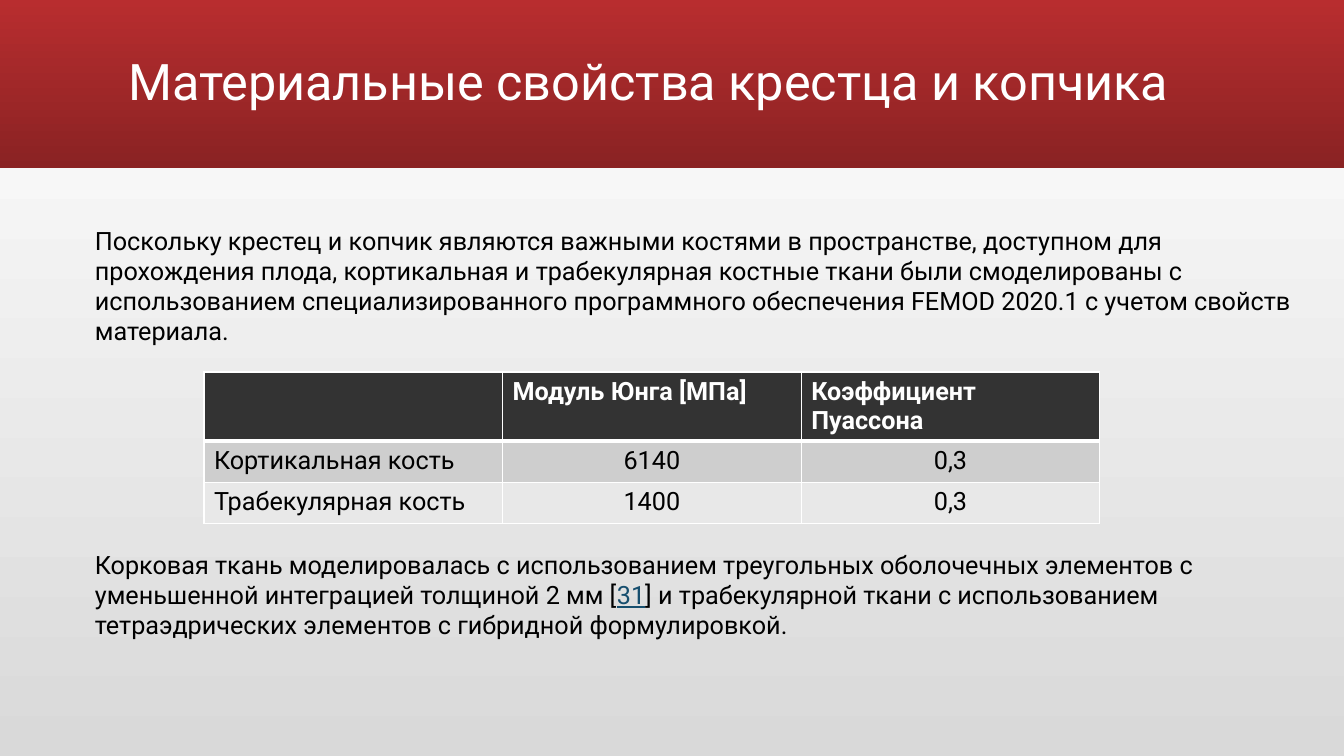
from lxml import etree
from pptx import Presentation
from pptx.dml.color import RGBColor
from pptx.enum.shapes import MSO_SHAPE as Shape
from pptx.enum.text import MSO_ANCHOR as Anchor, MSO_AUTO_SIZE as AutoSize, PP_ALIGN as Align
from pptx.oxml.ns import qn
from pptx.util import Pt

# Content
TITLE = "Материальные свойства крестца и копчика"
INTRO = [
    "Поскольку крестец и копчик являются важными костями в пространстве, доступном для "
    "прохождения плода, кортикальная и трабекулярная костные ткани были смоделированы с "
    "использованием специализированного программного обеспечения FEMOD 2020.1 с учетом "
    "свойств материала."
]
REFERENCE = "31"
METHOD = [
    "Корковая ткань моделировалась с использованием треугольных оболочечных элементов с "
    "уменьшенной интеграцией толщиной 2 мм [",
    REFERENCE,
    "] и трабекулярной ткани с использованием тетраэдрических элементов с гибридной "
    "формулировкой.",
]
MATERIALS = [
    ("", "Модуль Юнга [МПа]", "Коэффициент Пуассона"),
    ("Кортикальная кость", "6140", "0,3"),
    ("Трабекулярная кость", "1400", "0,3"),
]
ROW_FILLS = ("333333", "CECECE", "E8E8E8")
BAND_GRADIENT = ("B82D2F", "8A2223")
PAGE_GRADIENT = ("FFFFFF", "D9D9D9")
WHITE, BLACK, REFERENCE_COLOR = "FFFFFF", "000000", "164E6E"

# Layout in px
WIDTH, HEIGHT = 1344, 756
BAND_BOX = (0, 0, WIDTH, 168)
TITLE_BOX = (118, 11, 1109, 146)
INTRO_BOX = (85, 220, 1223, 102)
TABLE_BOX = (204, 372, 896, 123)
METHOD_BOX = (85, 544, 1207, 102)


def px(length):
    return round(length * 914400 / 100.8)


def box(lengths):
    return [px(length) for length in lengths]


def color(value):
    return RGBColor.from_string(value)


def shade(fill, colors):
    """Fill with a gradient running from top to bottom."""
    fill.gradient()
    fill.gradient_angle = 270
    for stop, value, position in zip(fill.gradient_stops, colors, (0, 1)):
        stop.color.rgb = color(value)
        stop.position = position


def write(frame, texts, size=18, ink=BLACK, bold=False, align=Align.LEFT, spacing=1.0):
    paragraph = frame.paragraphs[0]
    paragraph.alignment = align
    paragraph.line_spacing = spacing
    paragraph.font.size = Pt(size)
    for text in filter(None, texts):
        run = paragraph.add_run()
        run.text = text
        is_reference = text == REFERENCE
        font = run.font
        font.name, font.size, font.bold = "Roboto", Pt(size), bold
        font.underline = is_reference
        font.color.rgb = color(REFERENCE_COLOR if is_reference else ink)


def add_borders(cell, widths):
    properties = cell._tc.get_or_add_tcPr()
    for index, (tag, width) in enumerate(widths.items()):
        line = etree.Element(qn(f"a:{tag}"), w=str(Pt(width)))
        solid = etree.SubElement(line, qn("a:solidFill"))
        etree.SubElement(solid, qn("a:srgbClr"), val=WHITE)
        properties.insert(index, line)


def add_body(slide, lengths, texts):
    frame = slide.shapes.add_textbox(*box(lengths)).text_frame
    frame.word_wrap = True
    frame.auto_size = AutoSize.SHAPE_TO_FIT_TEXT
    write(frame, texts)


def add_materials(slide):
    rows, columns = len(MATERIALS), len(MATERIALS[0])
    table = slide.shapes.add_table(rows, columns, *box(TABLE_BOX)).table
    table.horz_banding = False
    for r, values in enumerate(MATERIALS):
        header = r == 0
        for c, value in enumerate(values):
            cell = table.cell(r, c)
            cell.fill.solid()
            cell.fill.fore_color.rgb = color(ROW_FILLS[r])
            add_borders(cell, {"lnL": 1, "lnR": 1, "lnT": 3 if r == 1 else 1,
                               "lnB": 3 if header else 1})
            centred = c > 0 and not header
            write(cell.text_frame, [value], ink=WHITE if header else BLACK, bold=header,
                  align=Align.CENTER if centred else Align.LEFT)


def main():
    presentation = Presentation()
    presentation.slide_width, presentation.slide_height = px(WIDTH), px(HEIGHT)
    slide = presentation.slides.add_slide(presentation.slide_layouts[5])
    shade(slide.background.fill, PAGE_GRADIENT)

    # Header band, placed behind the title
    title = slide.shapes.title
    band = slide.shapes.add_shape(Shape.RECTANGLE, *box(BAND_BOX))
    band.shadow.inherit = False
    band.line.fill.background()
    shade(band.fill, BAND_GRADIENT)
    title._element.addprevious(band._element)

    # Title
    title.left, title.top, title.width, title.height = box(TITLE_BOX)
    title.text_frame.vertical_anchor = Anchor.MIDDLE
    title.text_frame.auto_size = AutoSize.NONE
    write(title.text_frame, [TITLE], size=36, ink=WHITE, spacing=0.9)

    # Table and body text
    add_materials(slide)
    add_body(slide, INTRO_BOX, INTRO)
    add_body(slide, METHOD_BOX, METHOD)

    presentation.save("out.pptx")


if __name__ == "__main__":
    main()
